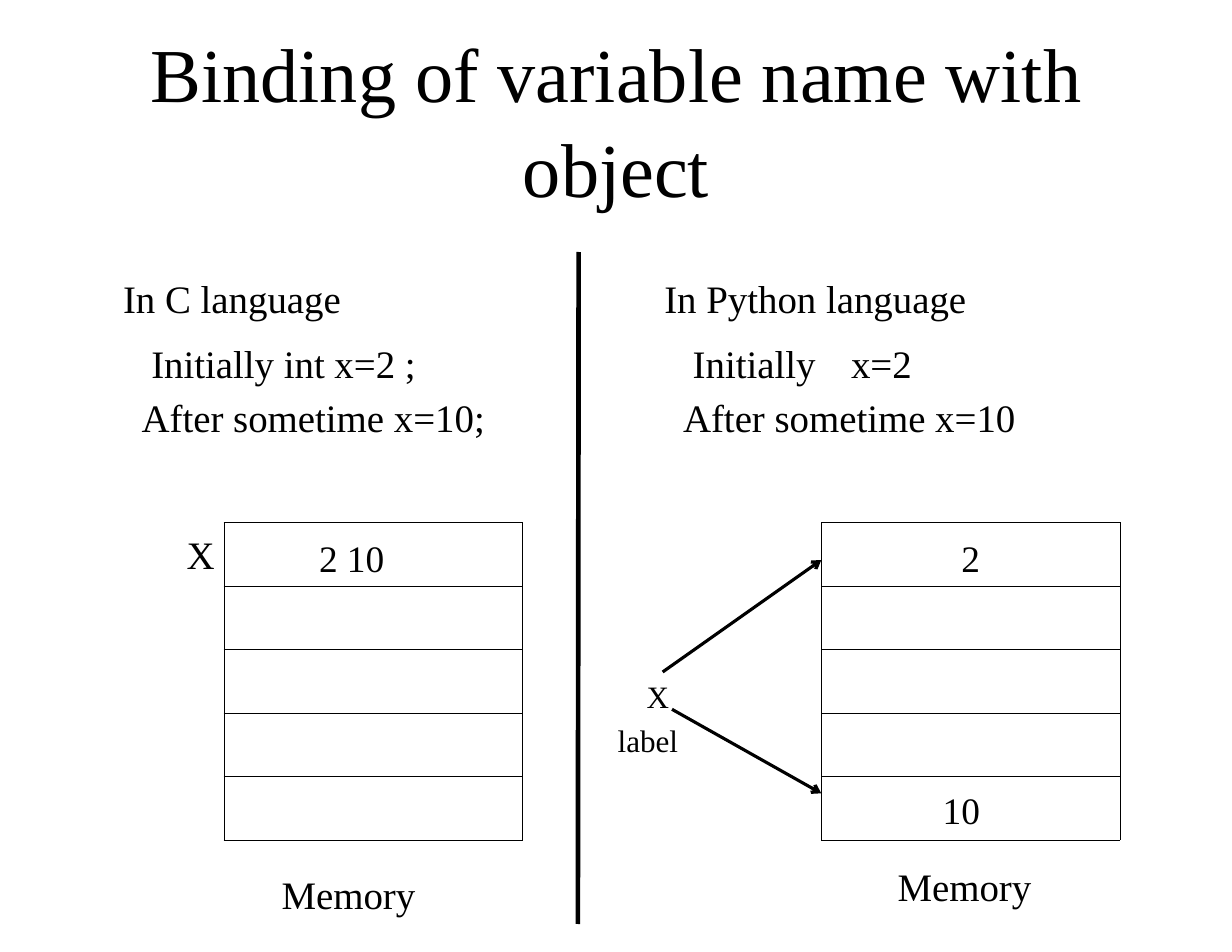
from lxml.etree import SubElement
from pptx import Presentation
from pptx.dml.color import RGBColor
from pptx.enum.shapes import MSO_CONNECTOR as Connector
from pptx.enum.text import MSO_ANCHOR as Anchor, MSO_AUTO_SIZE as AutoSize, PP_ALIGN as Align
from pptx.oxml.ns import qn
from pptx.util import Pt

THEME = {
    "font": "Times New Roman",
    "ink": RGBColor(0, 0, 0),
    "title": 49,
    "body": 25,
    "value": 24,
    "label": 20,
    "border": 0.45,
    "arrow": 2,
    "divider": 3,
}

TITLE = "Binding of variable name with object"
TITLE_BOX = (39.6, 24.5, 712.8, 102.2)

LEFT, CENTER = Align.LEFT, Align.CENTER
TEXTS = [
    (["In C language"], (72, 168, 192, 42.5), "body", [LEFT]),
    (["In Python language"], (420, 168, 294, 42.5), "body", [LEFT]),
    (["X"], (78, 333, 102, 42.5), "body", [CENTER]),
    (["X", "label"], (390, 428.4, 66, 63.4), "label", [CENTER, LEFT]),
    (["Memory"], (174, 551.5, 114, 42.5), "body", [LEFT]),
    (["Memory"], (570, 546, 114, 42.5), "body", [LEFT]),
    (["2"], (198, 336, 60, 41), "value", [LEFT]),
    (["10"], (216, 336, 72, 41), "value", [LEFT]),
    (["2"], (594, 336, 60, 41), "value", [CENTER]),
    (["10"], (582, 498, 72, 41), "value", [CENTER]),
]

STEPS = [
    (["Initially int x=2 ;", "After sometime x=10;"], (84, 210, 258, 77)),
    (["Initially\tx=2", "After sometime x=10"], (432, 210, 306, 77)),
]
STEP_INDENT = 6.25
STEP_TAB = 104

MEMORY_LEFTS = [144, 528]
MEMORY_TOP, MEMORY_WIDTH, MEMORY_HEIGHT = 336, 192, 204
MEMORY_ROWS = 5

DIVIDER = ((372, 162), (371.5, 594))
ARROWS = [((426, 432), (528, 360)), ((432, 456), (528, 510))]


def points(values):
    return [Pt(value) for value in values]


def style_paragraph(para, size, align, spacing):
    para.alignment = align
    para.line_spacing = spacing
    for span in para.runs:
        span.font.name = THEME["font"]
        span.font.size = Pt(THEME[size])
        span.font.color.rgb = THEME["ink"]


def add_text(slide, lines, place, size, aligns):
    box = slide.shapes.add_textbox(*points(place))
    frame = box.text_frame
    frame.word_wrap = True
    frame.auto_size = AutoSize.SHAPE_TO_FIT_TEXT
    frame.text = "\n".join(lines)
    for para, align in zip(frame.paragraphs, aligns):
        style_paragraph(para, size, align, 1.16)
    return frame


def add_steps(slide, lines, place):
    frame = add_text(slide, lines, place, "body", [LEFT] * len(lines))
    properties = frame.paragraphs[0]._p.get_or_add_pPr()
    properties.set("marL", "0")
    properties.set("indent", str(int(Pt(STEP_INDENT))))
    tabs = SubElement(properties, qn("a:tabLst"))
    SubElement(tabs, qn("a:tab"), pos=str(int(Pt(STEP_TAB))), algn="l")


def outline_cell(cell):
    properties = cell._tc.get_or_add_tcPr()
    for side in ("lnL", "lnR", "lnT", "lnB"):
        line = SubElement(properties, qn(f"a:{side}"), w=str(int(Pt(THEME["border"]))))
        fill = SubElement(line, qn("a:solidFill"))
        SubElement(fill, qn("a:srgbClr"), val=str(THEME["ink"]))
    cell.fill.background()


def add_memory(slide, left):
    place = points((left, MEMORY_TOP, MEMORY_WIDTH, MEMORY_HEIGHT))
    table = slide.shapes.add_table(MEMORY_ROWS, 1, *place).table
    table.first_row = False
    table.horz_banding = False
    for row in table.rows:
        row.height = Pt(MEMORY_HEIGHT / MEMORY_ROWS)
        outline_cell(row.cells[0])


def add_line(slide, start, end, width, arrow=False):
    connector = slide.shapes.add_connector(Connector.STRAIGHT, *points(start + end))
    connector.line.color.rgb = THEME["ink"]
    connector.line.width = Pt(THEME[width])
    if arrow:
        SubElement(connector.line._get_or_add_ln(), qn("a:tailEnd"), type="arrow")
    SubElement(connector._element.spPr, qn("a:effectLst"))


def add_title(slide):
    title = slide.shapes.title
    title.left, title.top, title.width, title.height = points(TITLE_BOX)
    frame = title.text_frame
    frame.text = TITLE
    frame.word_wrap = True
    frame.auto_size = AutoSize.NONE
    frame.vertical_anchor = Anchor.MIDDLE
    style_paragraph(frame.paragraphs[0], "title", CENTER, 1.04)


def main():
    deck = Presentation()
    deck.slide_width, deck.slide_height = Pt(792), Pt(612)
    slide = deck.slides.add_slide(deck.slide_layouts[5])
    add_title(slide)
    for left in MEMORY_LEFTS:
        add_memory(slide, left)
    for lines, place in STEPS:
        add_steps(slide, lines, place)
    for lines, place, size, aligns in TEXTS:
        add_text(slide, lines, place, size, aligns)
    for start, end in ARROWS:
        add_line(slide, start, end, "arrow", arrow=True)
    add_line(slide, *DIVIDER, "divider")
    deck.save("out.pptx")


if __name__ == "__main__":
    main()
